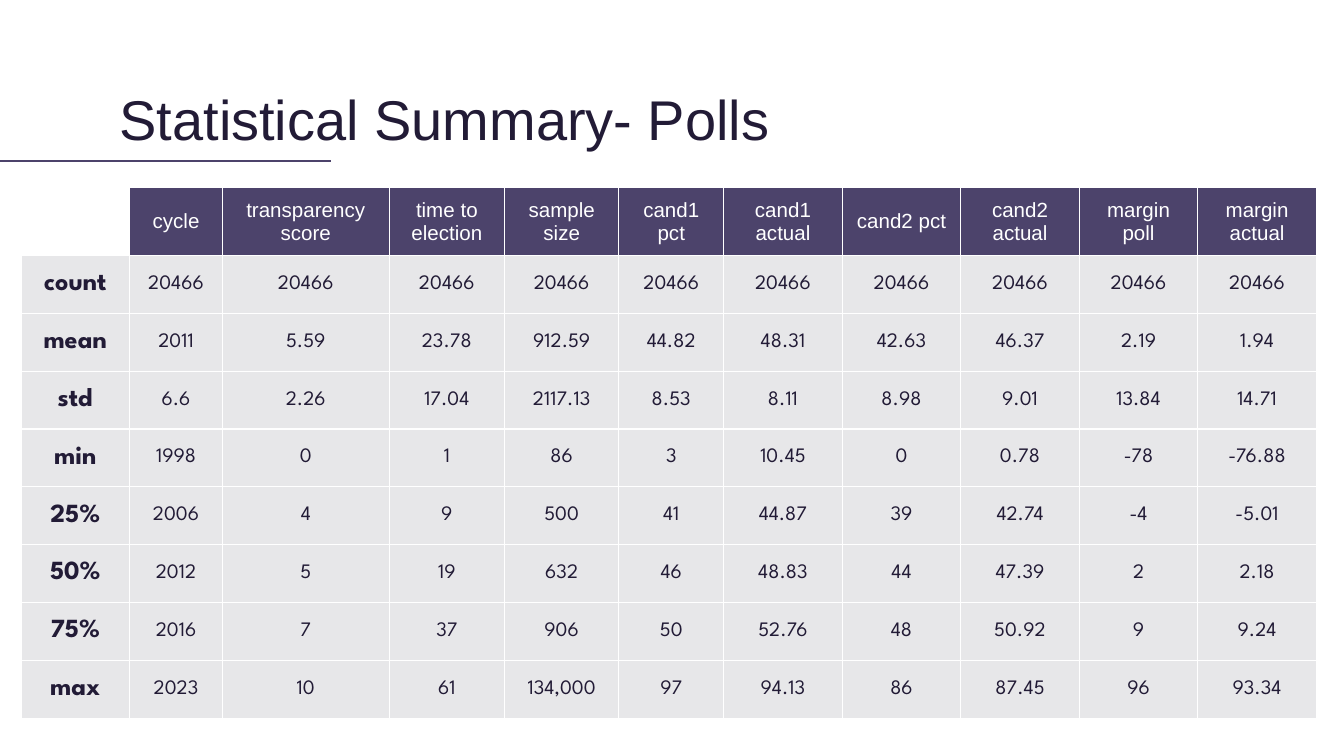
from lxml.etree import SubElement
from pptx import Presentation
from pptx.dml.color import RGBColor
from pptx.enum.shapes import MSO_CONNECTOR
from pptx.enum.text import MSO_ANCHOR, PP_ALIGN
from pptx.oxml.ns import qn
from pptx.util import Pt

COLORS = {"ink": "221B36", "purple": "4C436B", "body": "E7E7E9", "white": "FFFFFF"}

# Font and cell margins for each kind of table cell
FONTS = {
    "title": {"name": "Arial", "size": Pt(30), "bold": False},
    "header": {"name": "Arial", "size": Pt(11), "bold": False},
    "label": {"name": "League Spartan", "size": Pt(14), "bold": True},
    "value": {"name": "League Spartan", "size": Pt(11), "bold": False},
}
MARGINS = {"header": (7.2, 5), "label": (7.2, 0), "value": (0, 0)}

COLUMN_WIDTHS = [58.3, 49.7, 89.3, 61.9, 61.2, 56.2] + [63.5] * 5
ROW_HEIGHT = 31
STATISTICS = [
    ["", "cycle", "transparency score", "time to election", "sample size", "cand1 pct",
     "cand1 actual", "cand2 pct", "cand2 actual", "margin poll", "margin actual"],
    ["count"] + ["20466"] * 10,
    ["mean", "2011", "5.59", "23.78", "912.59", "44.82", "48.31", "42.63", "46.37", "2.19", "1.94"],
    ["std", "6.6", "2.26", "17.04", "2117.13", "8.53", "8.11", "8.98", "9.01", "13.84", "14.71"],
    ["min", "1998", "0", "1", "86", "3", "10.45", "0", "0.78", "-78", "-76.88"],
    ["25%", "2006", "4", "9", "500", "41", "44.87", "39", "42.74", "-4", "-5.01"],
    ["50%", "2012", "5", "19", "632", "46", "48.83", "44", "47.39", "2", "2.18"],
    ["75%", "2016", "7", "37", "906", "50", "52.76", "48", "50.92", "9", "9.24"],
    ["max", "2023", "10", "61", "134,000", "97", "94.13", "86", "87.45", "96", "93.34"],
]


def rgb(color):
    return RGBColor.from_string(COLORS[color])


def set_attributes(target, values):
    for attribute, value in values.items():
        setattr(target, attribute, value)


def write(paragraph, text, style, color):
    run = paragraph.add_run()
    run.text = text
    set_attributes(run.font, FONTS[style])
    run.font.color.rgb = rgb(color)


def add_heading(slide, left, top, width, height):
    # Title
    title = slide.shapes.add_textbox(Pt(left), Pt(top), Pt(width), Pt(height))
    frame = title.text_frame
    set_attributes(frame, {
        "word_wrap": True, "vertical_anchor": MSO_ANCHOR.TOP,
        "margin_left": Pt(7.2), "margin_right": Pt(7.2),
        "margin_top": Pt(10), "margin_bottom": Pt(0),
    })
    write(frame.paragraphs[0], "Statistical Summary- Polls", "title", "ink")

    # Rule running in from the slide's left edge
    rule_y = Pt(top + height + 5.7)
    rule = slide.shapes.add_connector(MSO_CONNECTOR.STRAIGHT, 0, rule_y, Pt(177.2), rule_y)
    rule.line.color.rgb = rgb("purple")
    rule.line.width = Pt(1.5)
    SubElement(rule._element.spPr, qn("a:effectLst"))


def add_borders(cell):
    properties = cell._tc.get_or_add_tcPr()
    for side in ("lnL", "lnR", "lnT", "lnB"):
        border = SubElement(properties, qn(f"a:{side}"), w=str(Pt(0.75)))
        SubElement(SubElement(border, qn("a:solidFill")), qn("a:srgbClr"), val=COLORS["white"])


def fill_cell(cell, text, style):
    add_borders(cell)
    across, down = MARGINS[style]
    set_attributes(cell, {
        "vertical_anchor": MSO_ANCHOR.MIDDLE,
        "margin_left": Pt(across), "margin_right": Pt(across),
        "margin_top": Pt(down), "margin_bottom": Pt(down),
    })
    if not text:
        cell.fill.background()
        return
    is_header = style == "header"
    cell.fill.solid()
    cell.fill.fore_color.rgb = rgb("purple" if is_header else "body")
    paragraph = cell.text_frame.paragraphs[0]
    paragraph.alignment = PP_ALIGN.CENTER
    write(paragraph, text, style, "white" if is_header else "ink")


def add_statistics(slide, left, top):
    table = slide.shapes.add_table(
        len(STATISTICS), len(COLUMN_WIDTHS), Pt(left), Pt(top),
        Pt(sum(COLUMN_WIDTHS)), Pt(ROW_HEIGHT * len(STATISTICS))).table
    set_attributes(table, {"first_row": False, "horz_banding": False})
    for column, width in zip(table.columns, COLUMN_WIDTHS):
        column.width = Pt(width)
    for r, texts in enumerate(STATISTICS):
        table.rows[r].height = Pt(ROW_HEIGHT)
        for c, text in enumerate(texts):
            style = "header" if r == 0 else "label" if c == 0 else "value"
            fill_cell(table.cell(r, c), text, style)


def main():
    presentation = Presentation()
    presentation.slide_width, presentation.slide_height = Pt(720), Pt(405)
    slide = presentation.slides.add_slide(presentation.slide_layouts[6])
    add_heading(slide, 57, 35.2, 607, 45.4)
    add_statistics(slide, 11.2, 100.5)
    presentation.save("out.pptx")


if __name__ == "__main__":
    main()
